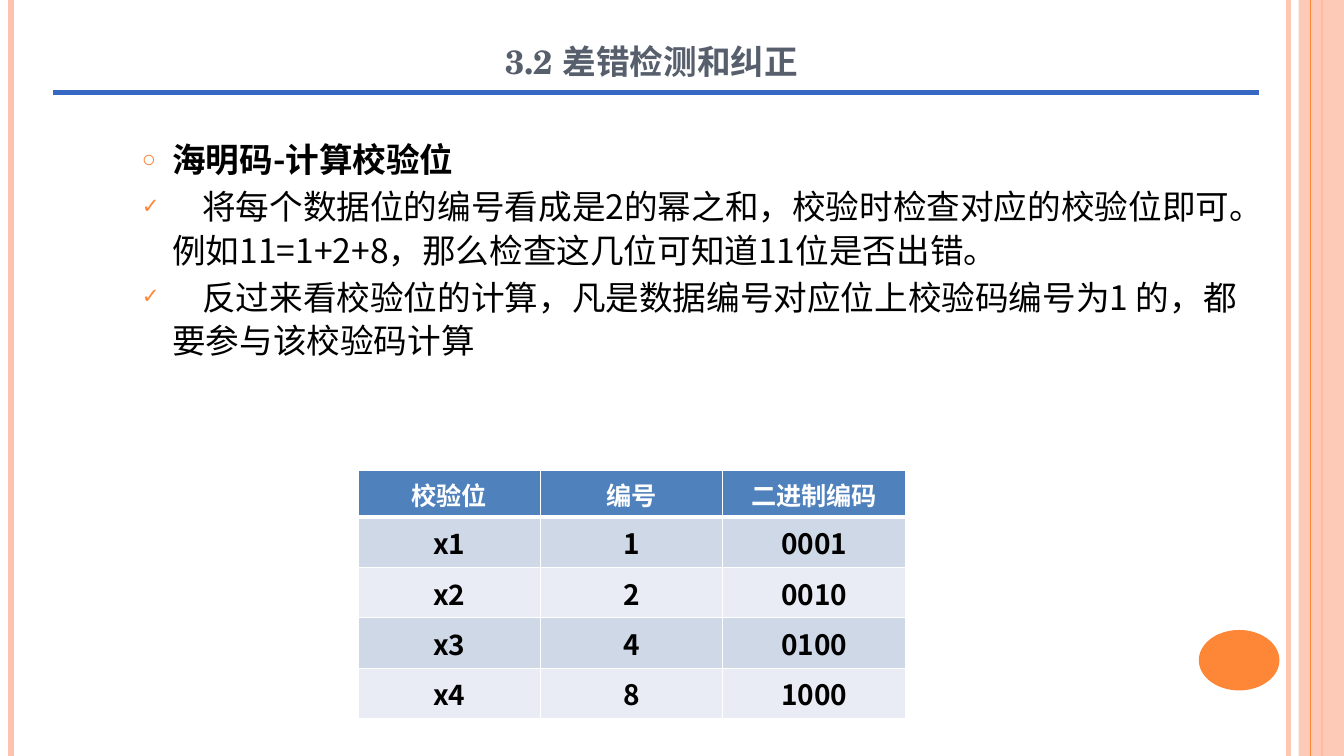
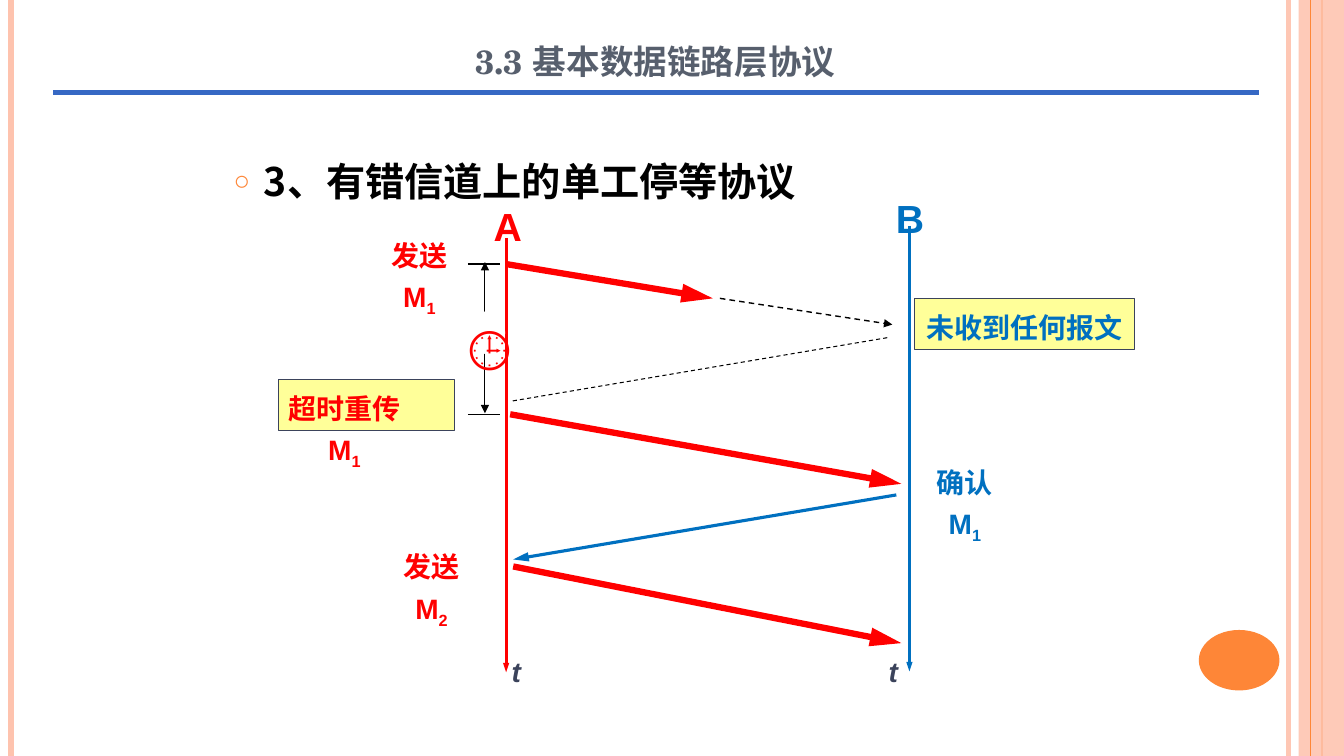
"""Builds two lecture slides: Hamming check bits and a stop-and-wait timeline."""
from lxml.etree import SubElement
from pptx import Presentation
from pptx.dml.color import RGBColor
from pptx.enum.dml import MSO_LINE
from pptx.enum.shapes import MSO_CONNECTOR, MSO_SHAPE
from pptx.enum.text import MSO_ANCHOR, PP_ALIGN
from pptx.oxml.ns import qn
from pptx.util import Emu, Pt

PX = 9144
INK = {
    "peach": "FEC3AE", "pale": "FEC7B4", "orange": "FE8637", "rule": "3668C4",
    "title": "575F6D", "black": "000000", "white": "FFFFFF", "red": "FF0000",
    "blue": "0070C0", "slate": "3B435B", "note": "FFFF99",
    "head": "4F81BD", "odd": "CFD8E7", "even": "E9ECF4",
}
HUE = {name: RGBColor.from_string(code) for name, code in INK.items()}
SANS, CJK, SERIF = "Arial", "Noto Sans CJK SC", "TeX Gyre Schola"


def write(para, text, size, hue, face=SANS, bold=True):
    """Add one styled run and return its properties."""
    run = para.add_run()
    run.text = text
    font = run.font
    font.size, font.bold, font.name = Pt(size), bold, face
    font.color.rgb = HUE[hue]
    props = run._r.get_or_add_rPr()
    SubElement(props, qn("a:ea"), typeface=CJK)
    return props


def rule(slide, ends, hue, width, tips=(), tip=("med", "lg"), dash=False):
    """Draw a straight line, with arrow tips if wanted."""
    link = slide.shapes.add_connector(MSO_CONNECTOR.STRAIGHT, *[Emu(v * PX) for v in ends])
    link.line.color.rgb = HUE[hue]
    link.line.width = Pt(width)
    if dash:
        link.line.dash_style = MSO_LINE.DASH
    for end in tips:
        SubElement(link.line._get_or_add_ln(), qn("a:" + end), type="triangle", w=tip[0], len=tip[1])
    SubElement(link._element.spPr, qn("a:effectLst"))


deck = Presentation()
deck.slide_width, deck.slide_height = Emu(1333 * PX), Emu(750 * PX)

pages = []
for title in ["3.2 差错检测和纠正 ", "3.3 基本数据链路层协议"]:
    page = deck.slides.add_slide(deck.slide_layouts[6])
    pages.append(page)
    for x, hue, width in [(1278, "pale", 3), (11, "peach", 4.5), (1311, "orange", 1.5)]:
        rule(page, (x, 0, x, 750), hue, width)
    for kind, box, hue in [
        (MSO_SHAPE.RECTANGLE, (1288, 0, 45, 750), "peach"),
        (MSO_SHAPE.OVAL, (1189, 625, 80, 60), "orange"),
    ]:
        shape = page.shapes.add_shape(kind, *[Emu(v * PX) for v in box])
        shape.shadow.inherit = False
        shape.fill.solid()
        shape.fill.fore_color.rgb = HUE[hue]
        shape.line.fill.background()
        if hue == "peach":
            tone = shape._element.spPr.find(qn("a:solidFill"))[0]
            SubElement(tone, qn("a:alpha"), val="87000")
    rule(page, (1300, 0, 1300, 750), "orange", 0.75)
    rule(page, (53, 92, 1249, 92), "rule", 3.5)
    frame = page.shapes.add_textbox(*[Emu(v * PX) for v in (225, 0, 850, 87)]).text_frame
    frame.word_wrap = True
    frame.vertical_anchor = MSO_ANCHOR.BOTTOM
    para = frame.paragraphs[0]
    para.alignment = PP_ALIGN.CENTER
    write(para, title, 30, "title", SERIF).set("cap", "small")

code, flow = pages

for page, box, size, pitch, items in [
    (code, (131, 130, 1118, 330), 24, 1.08, [
        ("○", "", "海明码-计算校验位", True),
        ("✓", "　", "将每个数据位的编号看成是2的幂之和，校验时检查对应的校验位即可。"
                    "例如11=1+2+8，那么检查这几位可知道11位是否出错。", False),
        ("✓", "　", "反过来看校验位的计算，凡是数据编号对应位上校验码编号为1 的，"
                    "都要参与该校验码计算", False),
    ]),
    (flow, (222, 151, 890, 66), 28, 1.0, [("○", "", "3、有错信道上的单工停等协议", True)]),
]:
    frame = page.shapes.add_textbox(*[Emu(v * PX) for v in box]).text_frame
    frame.word_wrap = True
    for i, (mark, gap, text, bold) in enumerate(items):
        para = frame.add_paragraph() if i else frame.paragraphs[0]
        para.line_spacing = pitch
        if i:
            para.space_before = Pt(2.4)
        props = para._p.get_or_add_pPr()
        props.set("marL", str(30 * PX))
        props.set("indent", str(-30 * PX))
        tint = SubElement(props, qn("a:buClr"))
        SubElement(tint, qn("a:srgbClr"), val=INK["orange"])
        SubElement(props, qn("a:buSzPct"), val="70000")
        SubElement(props, qn("a:buFont"), typeface=SANS)
        SubElement(props, qn("a:buChar"), char=mark)
        if gap:
            write(para, gap, 21.5, "black", CJK, bold)
        write(para, text, size, "black", CJK, bold)

rows = [("校验位", "编号", "二进制编码")]
rows += [(f"x{n + 1}", str(2 ** n), f"{2 ** n:04b}") for n in range(4)]
table = code.shapes.add_table(5, 3, *[Emu(v * PX) for v in (355, 467, 543, 246)]).table
for col in table.columns:
    col.width = Emu(181 * PX)
for r, row in enumerate(rows):
    table.rows[r].height = Emu((50 if r else 46) * PX)
    for c, text in enumerate(row):
        cell = table.cell(r, c)
        props = cell._tc.get_or_add_tcPr()
        for side in "LRTB":
            thick = (r, side) in [(0, "B"), (1, "T")]
            edge = SubElement(props, qn("a:ln" + side), w=str(Pt(3 if thick else 1)))
            tint = SubElement(edge, qn("a:solidFill"))
            SubElement(tint, qn("a:srgbClr"), val=INK["white"])
        cell.fill.solid()
        cell.fill.fore_color.rgb = HUE["head" if r == 0 else "odd" if r % 2 else "even"]
        para = cell.text_frame.paragraphs[0]
        para.alignment = PP_ALIGN.CENTER
        if r:
            write(para, text, 20, "black", CJK)
        else:
            write(para, text, 18, "white")

END, BOTH = ["tailEnd"], ["headEnd", "tailEnd"]
LONG, SLIM, SMALL = ("med", "lg"), ("sm", "med"), ("med", "med")
for ends, hue, width, tips, tip, dash in [
    ((502, 236, 502, 667), "red", 2.25, END, SLIM, False),
    ((902, 224, 902, 666), "blue", 2.25, END, SLIM, False),
    ((880, 335, 507, 398), "black", 0.75, [], LONG, True),
    ((714, 296, 885, 322), "black", 1, END, SMALL, True),
    ((502, 262, 707, 296), "red", 4.5, END, LONG, False),
    ((506, 411, 894, 480), "red", 4.5, END, LONG, False),
    ((509, 562, 894, 638), "red", 4.5, END, LONG, False),
    ((889, 491, 509, 555), "blue", 2.25, END, LONG, False),
    ((464, 262, 496, 262), "black", 1, [], LONG, False),
    ((464, 411, 496, 411), "black", 1, [], LONG, False),
    ((481, 260, 481, 410), "black", 0.75, BOTH, SMALL, False),
]:
    rule(flow, ends, hue, width, tips, tip, dash)

dial = flow.shapes.add_shape(MSO_SHAPE.OVAL, *[Emu(v * PX) for v in (459, 309, 42, 42)])
dial.shadow.inherit = False
dial.fill.solid()
dial.fill.fore_color.rgb = HUE["white"]
dial.line.fill.background()

for box, text, size, hue in [
    ((479, 185, 49, 67), "A", 28, "red"),
    ((878, 177, 49, 67), "B", 28, "blue"),
    ((453, 295, 65, 83), "🕒", 36, "red"),
    ((497, 637, 30, 51), "t", 20, "slate"),
    ((871, 637, 30, 51), "t", 20, "slate"),
]:
    frame = flow.shapes.add_textbox(*[Emu(v * PX) for v in box]).text_frame
    frame.word_wrap = False
    frame.vertical_anchor = MSO_ANCHOR.BOTTOM
    para = frame.paragraphs[0]
    para.alignment = PP_ALIGN.CENTER
    props = write(para, text, size, hue)
    if text == "t":
        props.set("i", "1")

for box, text, sub, hue, boxed in [
    ((380, 225, 118, 50), "发送 M", "1", "red", False),
    ((276, 377, 175, 50), "超时重传 M", "1", "red", True),
    ((392, 534, 118, 50), "发送 M", "2", "red", False),
    ((921, 450, 118, 50), "确认 M", "1", "blue", False),
    ((907, 296, 218, 51), "未收到任何报文", "", "blue", True),
]:
    shape = flow.shapes.add_shape(MSO_SHAPE.RECTANGLE, *[Emu(v * PX) for v in box])
    shape.shadow.inherit = False
    if boxed:
        shape.fill.solid()
        shape.fill.fore_color.rgb = HUE["note"]
        shape.line.color.rgb = HUE["slate"]
        shape.line.width = Pt(0.75)
    else:
        shape.fill.background()
        shape.line.fill.background()
    frame = shape.text_frame
    frame.word_wrap = True
    frame.vertical_anchor = MSO_ANCHOR.TOP
    frame.margin_left = Emu((2 if sub and boxed else 0) * PX)
    frame.margin_right = Emu((46 if sub else 0) * PX)
    para = frame.paragraphs[0]
    para.alignment = PP_ALIGN.CENTER
    para.line_spacing = 1.2
    write(para, text, 20, hue)
    if sub:
        write(para, sub, 20, hue).set("baseline", "-25000")

deck.save("out.pptx")
